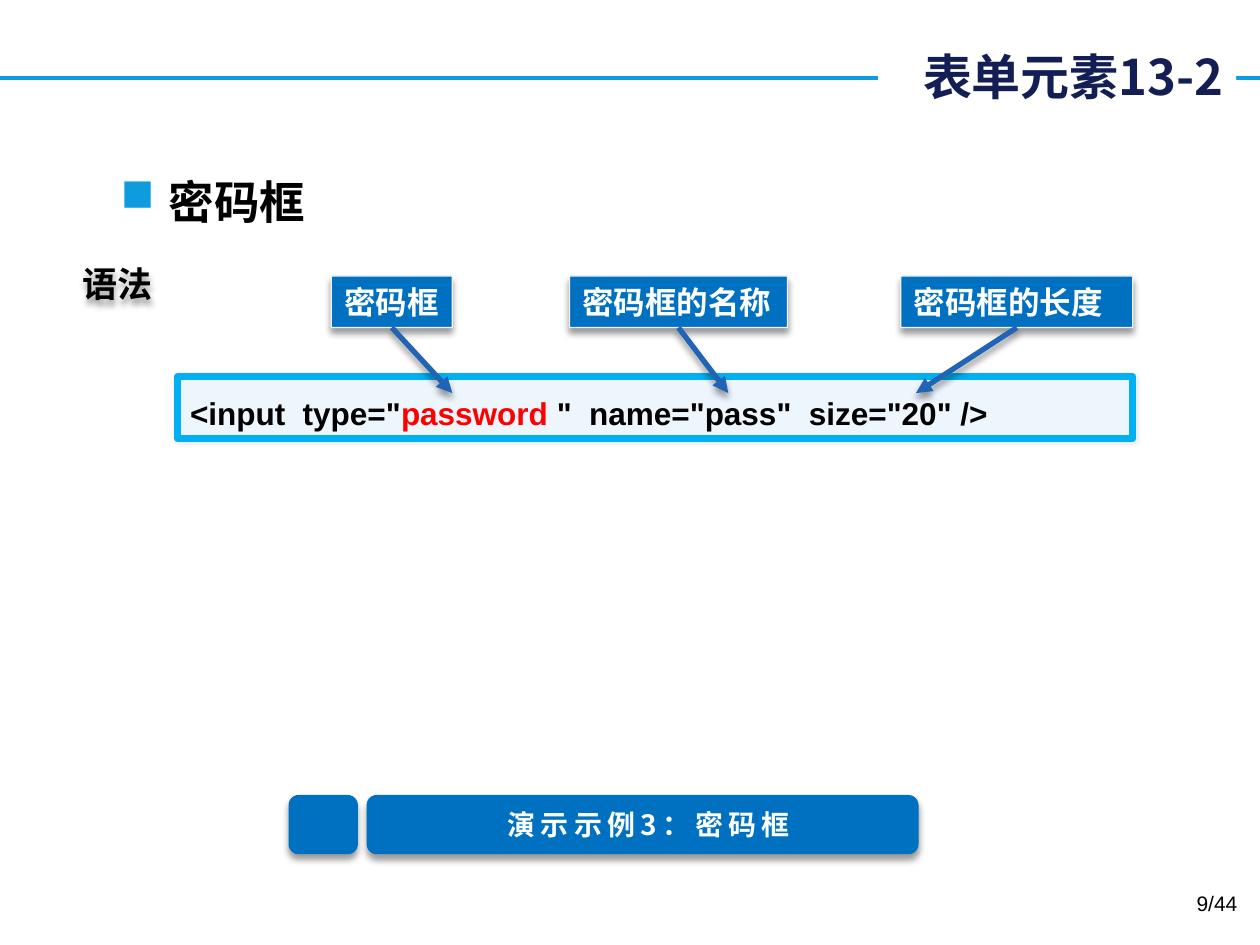
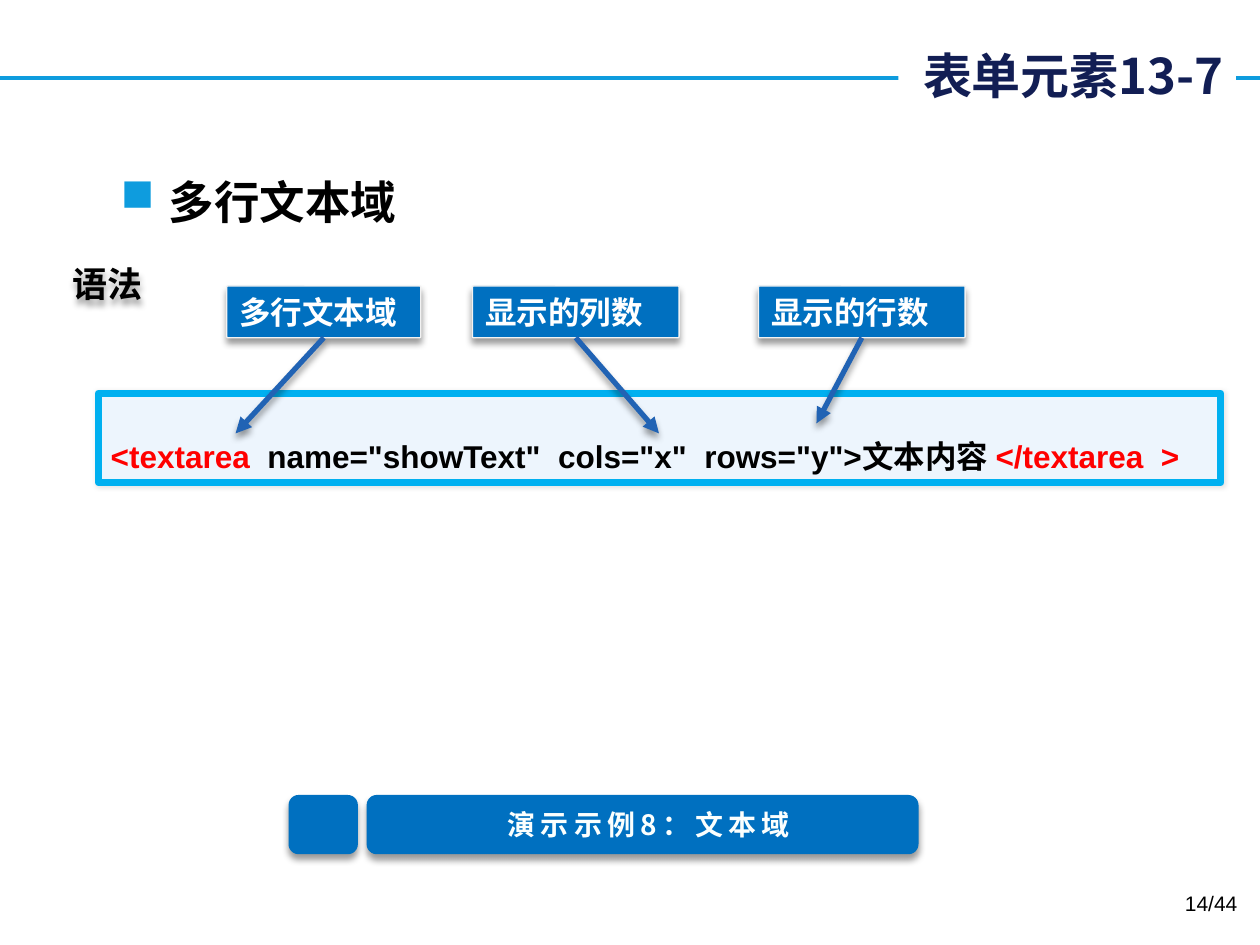
from lxml.etree import SubElement
from pptx import Presentation
from pptx.dml.color import RGBColor
from pptx.enum.shapes import MSO_CONNECTOR, MSO_SHAPE
from pptx.enum.text import MSO_ANCHOR, MSO_AUTO_SIZE, PP_ALIGN
from pptx.oxml.ns import qn
from pptx.util import Inches, Pt

WHITE = RGBColor(0xFF, 0xFF, 0xFF)
BLACK = RGBColor(0x00, 0x00, 0x00)
RED = RGBColor(0xFF, 0x00, 0x00)
NAVY = RGBColor(0x12, 0x1E, 0x54)
RULE_BLUE = RGBColor(0x0E, 0x9C, 0xDE)
PANEL_BLUE = RGBColor(0x00, 0x70, 0xC0)
ARROW_BLUE = RGBColor(0x21, 0x63, 0xB4)
CODE_FILL = RGBColor(0xED, 0xF5, 0xFD)
CODE_BORDER = RGBColor(0x00, 0xB0, 0xF0)
LABEL_BORDER = RGBColor(0xF2, 0xF2, 0xF2)
DEMO_TEXT = RGBColor(0xFB, 0xFF, 0xFE)

LATIN_FONT = "Arial"
CHINESE_FONT = "Noto Sans CJK SC"
LABEL_HEIGHT = 0.41
DROP_SHADOW = {"opacity": 40, "blur": 4, "distance": 3, "angle": 90}
SIDE_SHADOW = {"opacity": 10, "blur": 3, "distance": 0, "angle": 0}


class SyntaxDeck:
    def __init__(self):
        self.presentation = Presentation()
        self.presentation.slide_width = Inches(10)
        self.presentation.slide_height = Inches(7.5)
        self.slide = None

    def new_slide(self, title, box):
        layout = self.presentation.slide_layouts[5]
        self.slide = self.presentation.slides.add_slide(layout)
        shape = self.slide.shapes.title
        shape.left, shape.top, shape.width, shape.height = map(Inches, box)
        shape.fill.solid()
        shape.fill.fore_color.rgb = WHITE
        self.fill_text(shape, [(title, NAVY)], 28, font=CHINESE_FONT,
                       align=PP_ALIGN.RIGHT, anchor=MSO_ANCHOR.MIDDLE)
        shape.text_frame.margin_left = 0
        rule = self.line((0, 0.62), (10, 0.62), RULE_BLUE, 2.25)
        shape._element.addprevious(rule._element)

    def fill_text(self, shape, pieces, size, font=LATIN_FONT, bold=True,
                  align=PP_ALIGN.LEFT, anchor=MSO_ANCHOR.TOP, wrap=True):
        frame = shape.text_frame
        frame.auto_size = MSO_AUTO_SIZE.NONE
        frame.word_wrap = wrap
        frame.vertical_anchor = anchor
        paragraph = frame.paragraphs[0]
        paragraph.alignment = align
        for text, color in pieces:
            run = paragraph.add_run()
            run.text = text
            run.font.size = Pt(size)
            run.font.bold = bold
            run.font.color.rgb = color
            run.font.name = font
            properties = run._r.get_or_add_rPr()
            east_asian = SubElement(properties, qn("a:ea"), typeface=CHINESE_FONT)
            properties.find(qn("a:latin")).addnext(east_asian)
        return paragraph

    def shadow(self, shape, opacity, blur, distance, angle):
        effects = shape._element.spPr.find(qn("a:effectLst"))
        outer = SubElement(effects, qn("a:outerShdw"), blurRad=str(Pt(blur)),
                           dist=str(Pt(distance)), dir=str(angle * 60000),
                           algn="ctr", rotWithShape="0")
        color = SubElement(outer, qn("a:srgbClr"), val=str(BLACK))
        SubElement(color, qn("a:alpha"), val=str(opacity * 1000))

    def text(self, box, text, size, color=BLACK, **style):
        shape = self.slide.shapes.add_textbox(*map(Inches, box))
        self.fill_text(shape, [(text, color)], size, **style)
        return shape

    def panel(self, box, fill, corner, shadow, border=None, border_width=0):
        shape = self.slide.shapes.add_shape(
            MSO_SHAPE.ROUNDED_RECTANGLE, *map(Inches, box))
        shape.adjustments[0] = corner
        shape.fill.solid()
        shape.fill.fore_color.rgb = fill
        if border is None:
            shape.line.fill.background()
        else:
            shape.line.color.rgb = border
            shape.line.width = Pt(border_width)
        shape.shadow.inherit = False
        self.shadow(shape, **shadow)
        return shape

    def line(self, start, end, color, width):
        connector = self.slide.shapes.add_connector(
            MSO_CONNECTOR.STRAIGHT, *map(Inches, start + end))
        connector.line.color.rgb = color
        connector.line.width = Pt(width)
        SubElement(connector._element.spPr, qn("a:effectLst"))
        return connector

    def arrow(self, start, end):
        connector = self.line(start, end, ARROW_BLUE, 3)
        outline = connector._element.spPr.find(qn("a:ln"))
        SubElement(outline, qn("a:tailEnd"), type="triangle")
        self.shadow(connector, **DROP_SHADOW)

    def topic(self, text):
        shape = self.text((0.86, 1.33, 8.36, 5.63), text, 26)
        properties = shape.text_frame.paragraphs[0]._p.get_or_add_pPr()
        properties.set("marL", str(Inches(0.38)))
        properties.set("indent", str(-Inches(0.38)))
        color = SubElement(properties, qn("a:buClr"))
        SubElement(color, qn("a:srgbClr"), val=str(RULE_BLUE))
        SubElement(properties, qn("a:buChar"), char="■")

    def syntax_heading(self, left):
        shape = self.text((left, 2.03, 0.77, 0.44), "语法", 20, font=CHINESE_FONT,
                          anchor=MSO_ANCHOR.MIDDLE, wrap=False)
        SubElement(shape._element.spPr, qn("a:effectLst"))
        self.shadow(shape, **DROP_SHADOW)

    def code(self, box, pieces, spacing):
        shape = self.panel(box, CODE_FILL, 0, SIDE_SHADOW, CODE_BORDER, 4)
        self.fill_text(shape, pieces, 18).line_spacing = spacing

    def callout(self, text, left, top, width, target):
        shape = self.panel((left, top, width, LABEL_HEIGHT), PANEL_BLUE, 0.02,
                           DROP_SHADOW, LABEL_BORDER, 0.75)
        self.fill_text(shape, [(text, WHITE)], 18, anchor=MSO_ANCHOR.BOTTOM)
        shape.text_frame.margin_right = 0
        self.arrow((left + width / 2, top + LABEL_HEIGHT), target)

    def demo_bar(self, text):
        for left, width in ((2.29, 0.55), (2.91, 4.38)):
            self.panel((left, 6.31, width, 0.47), PANEL_BLUE, 0.17, DROP_SHADOW)
        shape = self.text((3.85, 6.36, 2.6, 0.37), text, 16, DEMO_TEXT,
                          font=CHINESE_FONT, align=PP_ALIGN.CENTER, wrap=False)
        run = shape.text_frame.paragraphs[0].runs[0]
        run._r.get_or_add_rPr().set("spc", "300")

    def page_number(self, text):
        self.text((7.59, 7.02, 2.33, 0.4), text, 12, bold=False,
                  align=PP_ALIGN.RIGHT)

    def syntax_slide(self, title, title_box, topic, heading_left, code_box, code,
                     code_spacing, label_top, callouts, demo, page):
        self.new_slide(title, title_box)
        self.topic(topic)
        self.syntax_heading(heading_left)
        self.code(code_box, code, code_spacing)
        for text, left, width, target in callouts:
            self.callout(text, left, label_top, width, target)
        self.demo_bar(demo)
        self.page_number(page)


def main():
    deck = SyntaxDeck()
    deck.syntax_slide(
        title="表单元素13-2",
        title_box=(6.97, 0.08, 2.84, 1.04),
        topic="密码框",
        heading_left=0.56,
        code_box=(1.41, 2.99, 7.58, 0.49),
        code=[('<input  type="', BLACK), ("password ", RED),
              ('"  name="pass"  size="20" />', BLACK)],
        code_spacing=1.3,
        label_top=2.19,
        callouts=[("密码框", 2.63, 0.96, (3.59, 3.12)),
                  ("密码框的名称", 4.52, 1.73, (5.78, 3.12)),
                  ("密码框的长度", 7.15, 1.84, (7.27, 3.12))],
        demo="演示示例3：密码框",
        page="9/44",
    )
    deck.syntax_slide(
        title="表单元素13-7",
        title_box=(7.13, 0.31, 2.68, 0.57),
        topic="多行文本域",
        heading_left=0.48,
        code_box=(0.78, 3.12, 8.91, 0.71),
        code=[("<textarea  ", RED),
              ('name="showText"  cols="x"  rows="y">文本内容 ', BLACK),
              ("</textarea  >", RED)],
        code_spacing=2.0,
        label_top=2.27,
        callouts=[("多行文本域", 1.8, 1.54, (1.87, 3.44)),
                  ("显示的列数", 3.75, 1.64, (5.23, 3.44)),
                  ("显示的行数", 6.02, 1.64, (6.48, 3.36))],
        demo="演示示例8：文本域",
        page="14/44",
    )
    deck.presentation.save("out.pptx")


if __name__ == "__main__":
    main()
